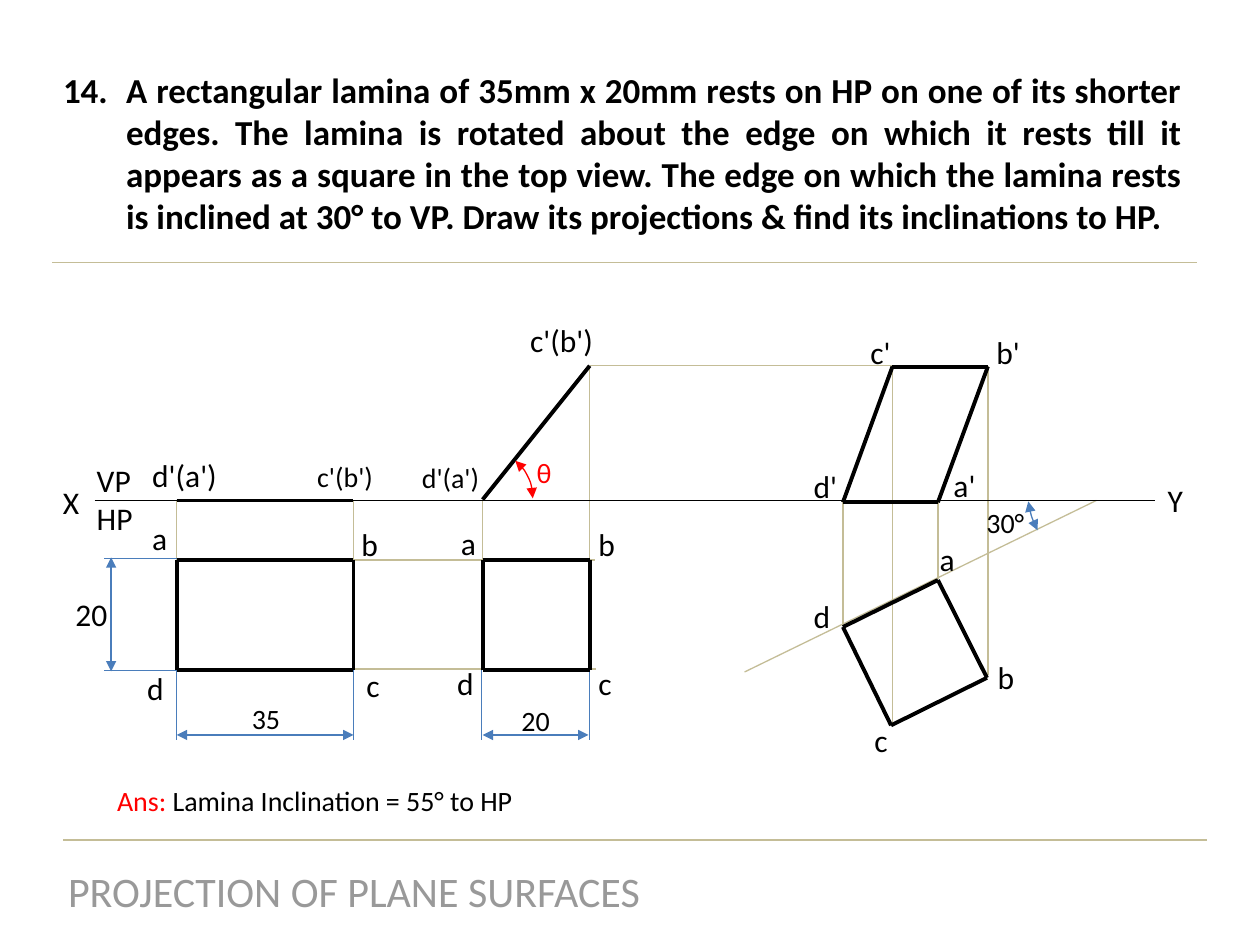
import pptx
import pptx.util
import pptx.dml.color
import pptx.enum.shapes
import pptx.enum.text
import pptx.oxml.ns
from lxml import etree

Pt = pptx.util.Pt
COLORS = {"ink": "000000", "guide": "C4BD97", "dimension": "4A7DBB",
          "accent": "FF0000", "footer": "999999"}
FONT = "Calibri"

QUESTION = ("A rectangular lamina of 35mm x 20mm rests on HP on one of its shorter edges. "
            "The lamina is rotated about the edge on which it rests till it appears as a "
            "square in the top view. The edge on which the lamina rests is inclined at 30° "
            "to VP. Draw its projections & find its inclinations to HP.")
FOOTER = "PROJECTION OF PLANE SURFACES"
ANSWER = [("Ans: ", "accent"), ("Lamina Inclination = 55° to HP", "ink")]

# Shared levels and verticals of the three stages
XY, TOP = 286, 209
PLAN_TOP, PLAN_BOTTOM = 320, 383
DIM_Y, DIM_X = 420, 63.5
LONG_LEFT, LONG_RIGHT = 101, 202
SHORT_LEFT, SHORT_RIGHT = 275.8, 337
D_X, A_X, C_X, B_X = 481.7, 536, 510, 564.5

FINAL_PLAN = [(A_X, 331.5), (B_X - 0.5, 387.3), (C_X - 0.8, 414.5), (D_X, 358.3)]
OUTLINES = [
    [(left, PLAN_TOP), (right, PLAN_TOP), (right, PLAN_BOTTOM), (left, PLAN_BOTTOM)]
    for left, right in [(LONG_LEFT, LONG_RIGHT), (SHORT_LEFT, SHORT_RIGHT)]
] + [FINAL_PLAN, [(D_X, XY + 1), (A_X, XY + 1), (B_X, TOP + 0.5), (C_X, TOP + 0.5)]]

ELEVATIONS = [(LONG_LEFT, XY, LONG_RIGHT, XY), (SHORT_LEFT, XY - 0.5, SHORT_RIGHT, TOP)]
GUIDES = [
    (36, 480, 690, 480), (30, 150, 684, 150),
    (SHORT_RIGHT, TOP, B_X, TOP),
    (LONG_RIGHT, PLAN_BOTTOM - 0.7, 340.5, PLAN_BOTTOM - 0.7),
    (LONG_RIGHT, PLAN_TOP, 340, PLAN_TOP),
    (626.5, XY, 425.5, 384),
    (SHORT_RIGHT, PLAN_TOP, SHORT_RIGHT, TOP),
] + [(x, PLAN_TOP, x, XY) for x in (LONG_LEFT, LONG_RIGHT, SHORT_LEFT)] + [
    (x, bottom, x, top) for x, bottom, top in
    [(D_X, 358, XY), (A_X, 331, XY), (B_X, 386, TOP), (C_X, 413, TOP)]
]
EXTENSIONS = [(59.5, y, LONG_LEFT, y) for y in (PLAN_TOP - 1, PLAN_BOTTOM)] + [
    (x, PLAN_BOTTOM, x, 422.6)
    for x in (LONG_LEFT, LONG_RIGHT, SHORT_LEFT - 0.5, SHORT_RIGHT)
]
DIMENSIONS = [
    (DIM_X, PLAN_TOP - 1.5, DIM_X, PLAN_BOTTOM + 0.7),
    (LONG_RIGHT, DIM_Y, LONG_LEFT, DIM_Y),
    (SHORT_RIGHT - 0.7, DIM_Y, SHORT_LEFT, DIM_Y),
]
# left, top, width, height, start angle as an adjustment, rotation, colour
ANGLES = [
    (257, 258.5, 47.5, 52.6, 181.63, 0, "accent"),
    (587.5, 261.4, 18.7, 47.5, 174.47, 171.6, "dimension"),
]
# text, left, top, width
LABELS = {
    18: [
        ("X", 28.8, 272.2, 24), ("Y", 660.2, 271.4, 24), ("VP\nHP", 48.2, 259.9, 36),
        ("20", 36, 336.2, 34),
        ("a", 79.9, 293, 25), ("b", 199.4, 296.6, 25), ("c", 202.3, 377.3, 23), ("d", 77, 378.7, 25),
        ("a", 256.3, 295.9, 25), ("b", 334.8, 296.6, 25), ("c", 334.8, 375.8, 23), ("d", 254.2, 375.8, 25),
        ("a", 529.9, 305.3, 25), ("b", 563, 372.2, 25), ("c", 492.5, 408.2, 23), ("d", 457.9, 337.7, 25),
        ("a'", 537.8, 262.8, 28), ("b'", 562.3, 186.5, 28), ("c'", 490.3, 186.5, 26), ("d'", 457.9, 263.5, 28),
        ("d'(a')", 79.9, 257, 52), ("c'(b')", 295.9, 180, 52),
    ],
    16: [
        ("c'(b')", 174.2, 259.2, 47), ("d'(a')", 234, 259.5, 48),
        ("35", 136.8, 397.4, 31), ("20", 290.9, 398.2, 31), ("30°", 556.6, 285.1, 40),
    ],
}


def place(part, left, top, width, height):
    box = {"left": left, "top": top, "width": width, "height": height}
    for side, length in box.items():
        setattr(part, side, Pt(length))


def frame_text(part):
    frame = part.text_frame
    layout = {"margin_left": Pt(7.2), "margin_right": Pt(7.2),
              "margin_top": Pt(3.6), "margin_bottom": Pt(3.6),
              "word_wrap": True, "auto_size": pptx.enum.text.MSO_AUTO_SIZE.NONE,
              "vertical_anchor": pptx.enum.text.MSO_ANCHOR.TOP}
    for name, value in layout.items():
        setattr(frame, name, value)
    return frame


def style_run(run, size, color="ink", bold=False):
    for name, value in {"name": FONT, "size": Pt(size), "bold": bold}.items():
        setattr(run.font, name, value)
    run.font.color.rgb = pptx.dml.color.RGBColor.from_string(COLORS[color])


def style_line(part, color, width, arrows=False):
    part.line.color.rgb = pptx.dml.color.RGBColor.from_string(COLORS[color])
    part.line.width = Pt(width)
    if arrows:
        for end in ("a:headEnd", "a:tailEnd"):
            etree.SubElement(part.line._get_or_add_ln(), pptx.oxml.ns.qn(end), type="triangle")


def draw_line(shapes, ends, color, width=0.75, arrows=False):
    line = shapes.add_connector(pptx.enum.shapes.MSO_CONNECTOR.STRAIGHT, *map(Pt, ends))
    style_line(line, color, width, arrows)
    etree.SubElement(line._element.spPr, pptx.oxml.ns.qn("a:effectLst"))


def number_from(paragraph, start):
    """Give the paragraph a hanging number that counts from start."""
    properties = paragraph._p.get_or_add_pPr()
    properties.set("marL", str(Pt(36)))
    properties.set("indent", str(-Pt(36)))
    bullet_color = etree.SubElement(properties, pptx.oxml.ns.qn("a:buClr"))
    etree.SubElement(bullet_color, pptx.oxml.ns.qn("a:srgbClr"), val=COLORS["ink"])
    etree.SubElement(properties, pptx.oxml.ns.qn("a:buFont"), typeface=FONT)
    etree.SubElement(properties, pptx.oxml.ns.qn("a:buAutoNum"),
                     type="arabicPeriod", startAt=str(start))


def add_texts(slide):
    footer, question = slide.shapes.title, slide.placeholders[1]
    place(footer, 30.2, 491, 344.2, 36)
    place(question, 28.8, 35.3, 653.8, 104.4)
    align = pptx.enum.text.PP_ALIGN
    for part, text, size, color, bold, alignment in [
        (footer, FOOTER, 24, "footer", False, align.CENTER),
        (question, QUESTION, 20, "ink", True, align.JUSTIFY),
    ]:
        paragraph = frame_text(part).paragraphs[0]
        run = paragraph.add_run()
        run.text = text
        style_run(run, size, color, bold)
        paragraph.alignment = alignment
        paragraph.space_before = Pt(0)
    number_from(question.text_frame.paragraphs[0], 14)


def add_label(slide, text, left, top, width, size, color="ink"):
    box = slide.shapes.add_textbox(Pt(left), Pt(top), Pt(width), Pt(size * 1.22 + 7.2))
    frame = frame_text(box)
    frame.text = text
    for paragraph in frame.paragraphs:
        style_run(paragraph.runs[0], size, color)
    return frame


def add_drawing(slide):
    shapes = slide.shapes
    for ends in GUIDES:
        draw_line(shapes, ends, "guide")
    draw_line(shapes, (54, XY, 660, XY), "ink")
    for ends in EXTENSIONS:
        draw_line(shapes, ends, "dimension")
    for ends in DIMENSIONS:
        draw_line(shapes, ends, "dimension", arrows=True)
    for ends in ELEVATIONS:
        draw_line(shapes, ends, "ink", 2.25)
    for corners in OUTLINES:
        outline = shapes.add_group_shape()
        for start, end in zip(corners, corners[1:] + corners[:1]):
            draw_line(outline.shapes, start + end, "ink", 2.25)
    for *box, start, rotation, color in ANGLES:
        arc = shapes.add_shape(pptx.enum.shapes.MSO_SHAPE.ARC, *map(Pt, box))
        arc.adjustments[0], arc.adjustments[1] = start, 0
        arc.rotation = rotation
        arc.shadow.inherit = False
        arc.fill.background()
        style_line(arc, color, 0.75, arrows=True)


def main():
    deck = pptx.Presentation()
    deck.slide_width, deck.slide_height = Pt(720), Pt(540)
    slide = deck.slides.add_slide(deck.slide_layouts[1])
    add_texts(slide)
    add_drawing(slide)
    for size, labels in LABELS.items():
        for label in labels:
            add_label(slide, *label, size)
    add_label(slide, "θ", 299.5, 257, 40, 16, "accent")
    (lead, lead_color), (result, result_color) = ANSWER
    answer = add_label(slide, lead, 59.8, 444.2, 254, 16, lead_color)
    run = answer.paragraphs[0].add_run()
    run.text = result
    style_run(run, 16, result_color)
    deck.save("out.pptx")


if __name__ == "__main__":
    main()
